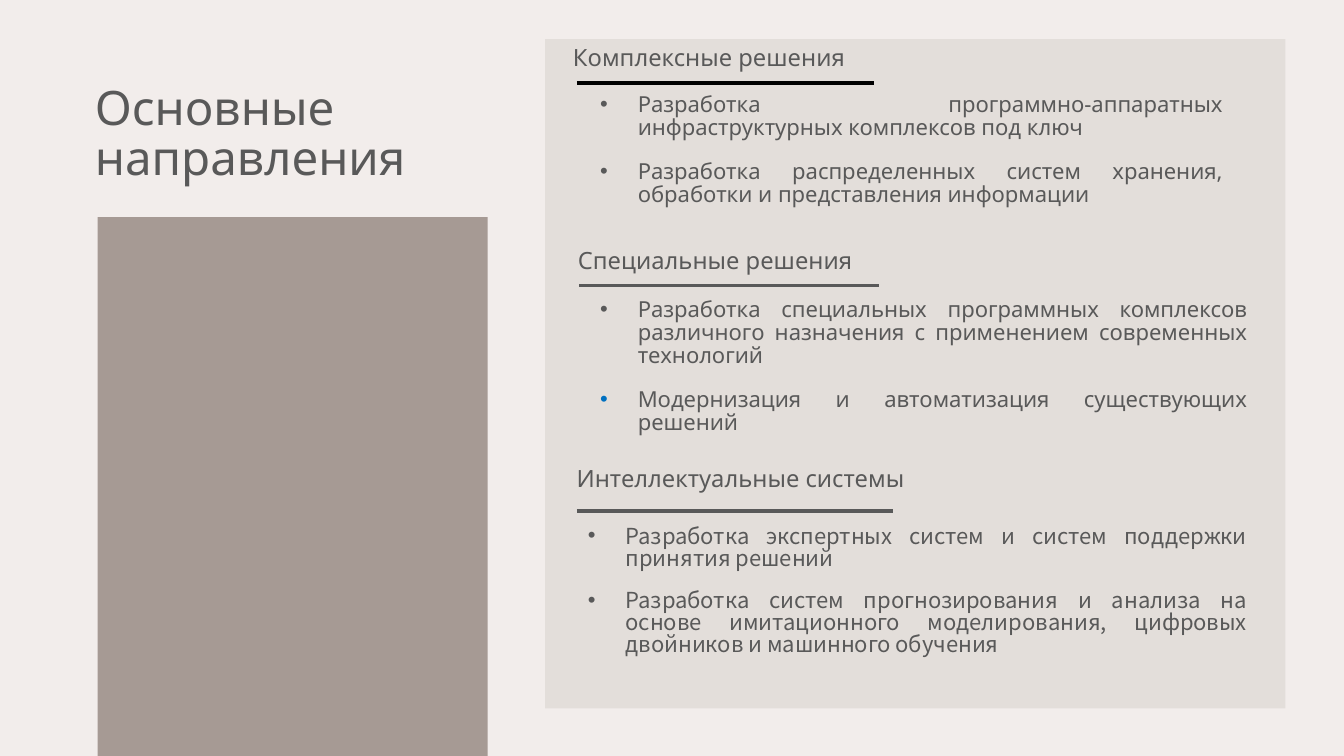
"""Builds the slide that lists the main lines of work in three sections."""
from dataclasses import dataclass

from lxml import etree
from pptx import Presentation
from pptx import util as u
from pptx.dml.color import RGBColor
from pptx.enum import shapes, text
from pptx.oxml import ns

BACKGROUND = RGBColor(0xF2, 0xED, 0xEB)
PANEL = RGBColor(0xE3, 0xDE, 0xDA)
ACCENT = RGBColor(0xA6, 0x9A, 0x94)
GREY = RGBColor(0x59, 0x59, 0x59)
BLACK = RGBColor(0, 0, 0)
BLUE = RGBColor(0x00, 0x70, 0xC0)

SLIDE_WIDTH, SLIDE_HEIGHT = u.Inches(11.02), u.Inches(6.2)
COLUMN = SLIDE_WIDTH / 110.2
ROW = SLIDE_HEIGHT / 62
FONT = "Noto Sans"


@dataclass(frozen=True)
class Area:
    """A rectangle in grid columns and rows."""
    left: float
    top: float
    width: float
    height: float

    def lengths(self) -> tuple[int, ...]:
        """Return the place and size as slide lengths."""
        units = (COLUMN, ROW, COLUMN, ROW)
        values = (self.left, self.top, self.width, self.height)
        return tuple(round(value * unit) for value, unit in zip(values, units))


@dataclass(frozen=True)
class Style:
    """The look of the text in a box."""
    size: float
    spacing: float
    font: str = FONT
    inset_x: float = 0.1
    inset_y: float = 0.05


@dataclass(frozen=True)
class Bullet:
    """One bulleted statement."""
    words: str
    colour: RGBColor = GREY


@dataclass(frozen=True)
class Section:
    """A heading, its underline and its bullets."""
    heading: str
    heading_area: Area
    rule: Area
    bullets: tuple[Bullet, ...]
    bullets_area: Area
    style: Style
    rule_colour: RGBColor = GREY


TITLE = Style(28, 0.88)
HEADING = Style(14, 0.95)
BODY = Style(13, 0.88, inset_x=0.11, inset_y=0.06)
BODY_CJK = Style(13, 0.83, "Noto Sans CJK JP", 0.11, 0.06)

SECTIONS = (
    Section("Комплексные решения", Area(46, 3.2, 26, 3.6), Area(47.3, 6.8, 24.4, 0), (
        Bullet("Разработка программно-аппаратных инфраструктурных комплексов под ключ"),
        Bullet("Разработка распределенных систем хранения, обработки и представления информации"),
    ), Area(48.1, 7.1, 53.2, 11.5), BODY, BLACK),
    Section("Специальные решения", Area(46.4, 19.8, 26, 3.6), Area(47.5, 23.4, 24.6, 0), (
        Bullet("Разработка специальных программных комплексов различного назначения "
               "с применением современных технологий"),
        Bullet("Модернизация и автоматизация существующих решений", BLUE),
    ), Area(48.1, 23.9, 55.2, 11.5), BODY),
    Section("Интеллектуальные системы", Area(46.3, 37.7, 34.7, 4.1), Area(47.3, 41.9, 25.9, 0), (
        Bullet("Разработка экспертных систем и систем поддержки принятия решений"),
        Bullet("Разработка систем прогнозирования и анализа на основе имитационного "
               "моделирования, цифровых двойников и машинного обучения"),
    ), Area(47.1, 42.6, 56.2, 13.6), BODY_CJK),
)


def apply(target, values: dict) -> None:
    """Set each named attribute of the target."""
    for name, value in values.items():
        setattr(target, name, value)


def add_block(slide, area: Area, colour: RGBColor) -> None:
    """Draw a plain filled rectangle."""
    shape = slide.shapes.add_shape(shapes.MSO_SHAPE.RECTANGLE, *area.lengths())
    shape.shadow.inherit = False
    shape.fill.solid()
    shape.fill.fore_color.rgb = colour
    shape.line.fill.background()


def add_rule(slide, area: Area, colour: RGBColor) -> None:
    """Draw a horizontal hairline."""
    left, top, width, height = area.lengths()
    connector = slide.shapes.add_connector(
        shapes.MSO_CONNECTOR.STRAIGHT, left, top, left + width, top + height)
    connector.line.color.rgb = colour
    connector.line.width = u.Pt(0)
    etree.SubElement(connector._element.spPr, ns.qn("a:effectLst"))


def add_frame(slide, area: Area, style: Style):
    """Add a wrapping text box and return its frame."""
    frame = slide.shapes.add_textbox(*area.lengths()).text_frame
    inset_x, inset_y = u.Inches(style.inset_x), u.Inches(style.inset_y)
    apply(frame, {"word_wrap": True, "margin_left": inset_x, "margin_right": inset_x,
                  "margin_top": inset_y, "margin_bottom": inset_y})
    return frame


def write(paragraph, words: str, style: Style) -> None:
    """Fill a paragraph with styled words."""
    paragraph.line_spacing = style.spacing
    run = paragraph.add_run()
    run.text = words
    apply(run.font, {"size": u.Pt(style.size), "name": style.font})
    run.font.color.rgb = GREY


def add_label(slide, area: Area, words: str, style: Style) -> None:
    """Add a text box with one paragraph."""
    write(add_frame(slide, area, style).paragraphs[0], words, style)


def mark(paragraph, colour: RGBColor) -> None:
    """Give a paragraph a hanging coloured bullet."""
    properties = paragraph._p.get_or_add_pPr()
    indent = u.Inches(0.31)
    properties.set("marL", str(indent))
    properties.set("indent", str(-indent))
    bullet_colour = etree.SubElement(properties, ns.qn("a:buClr"))
    etree.SubElement(bullet_colour, ns.qn("a:srgbClr"), val=str(colour))
    etree.SubElement(properties, ns.qn("a:buFont"), typeface="Arial")
    etree.SubElement(properties, ns.qn("a:buChar"), char="•")


def add_bullets(slide, area: Area, bullets: tuple[Bullet, ...], style: Style) -> None:
    """Add a justified bulleted list."""
    frame = add_frame(slide, area, style)
    for index, bullet in enumerate(bullets):
        paragraph = frame.add_paragraph() if index else frame.paragraphs[0]
        mark(paragraph, bullet.colour)
        apply(paragraph, {"alignment": text.PP_ALIGN.JUSTIFY, "space_after": u.Pt(6),
                          "space_before": u.Pt(6 if index else 0)})
        write(paragraph, bullet.words, style)


def main() -> None:
    """Build and save the presentation."""
    presentation = Presentation()
    apply(presentation, {"slide_width": SLIDE_WIDTH, "slide_height": SLIDE_HEIGHT})
    slide = presentation.slides.add_slide(presentation.slide_layouts[6])
    slide.background.fill.solid()
    slide.background.fill.fore_color.rgb = BACKGROUND
    add_block(slide, Area(44.7, 3.2, 60.7, 54.9), PANEL)
    add_block(slide, Area(8, 17.8, 32, 44.2), ACCENT)
    add_label(slide, Area(6.8, 6.5, 32, 10.1), "Основные направления", TITLE)
    for section in SECTIONS:
        add_label(slide, section.heading_area, section.heading, HEADING)
        add_rule(slide, section.rule, section.rule_colour)
        add_bullets(slide, section.bullets_area, section.bullets, section.style)
    presentation.save("out.pptx")


if __name__ == "__main__":
    main()
